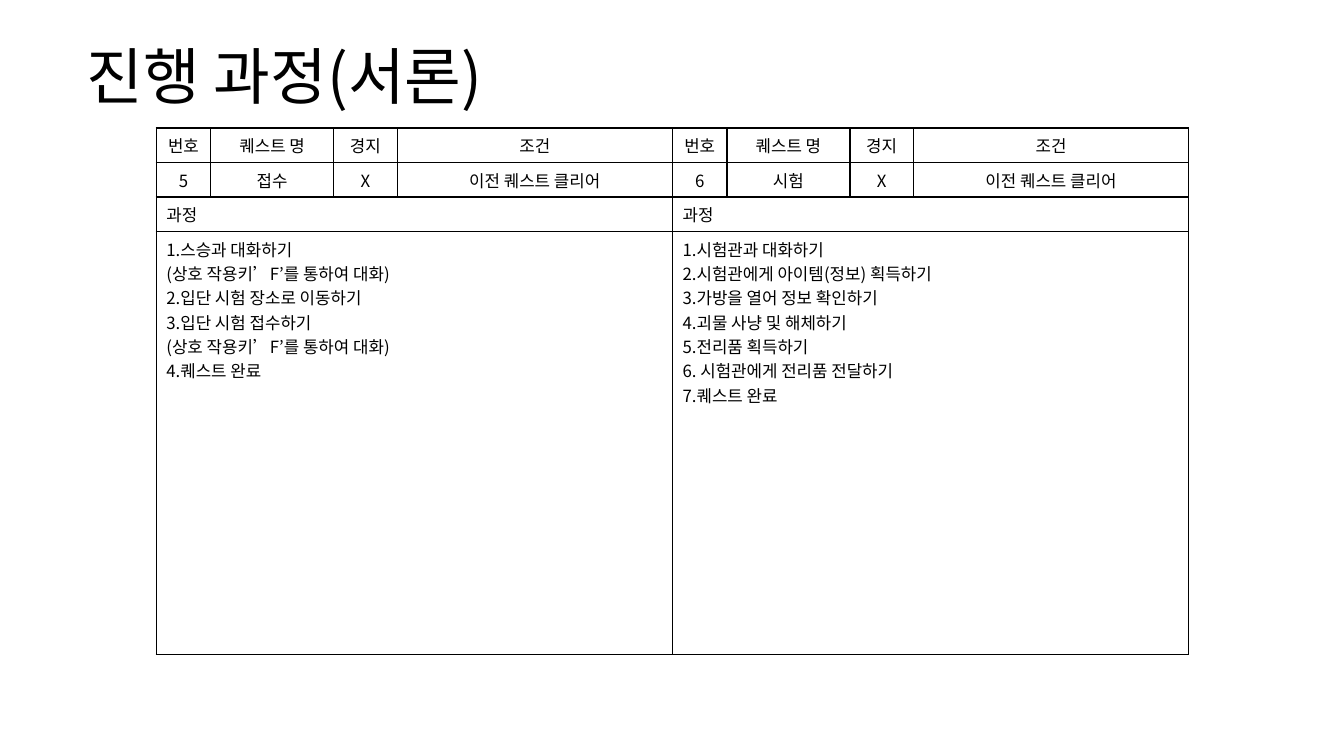
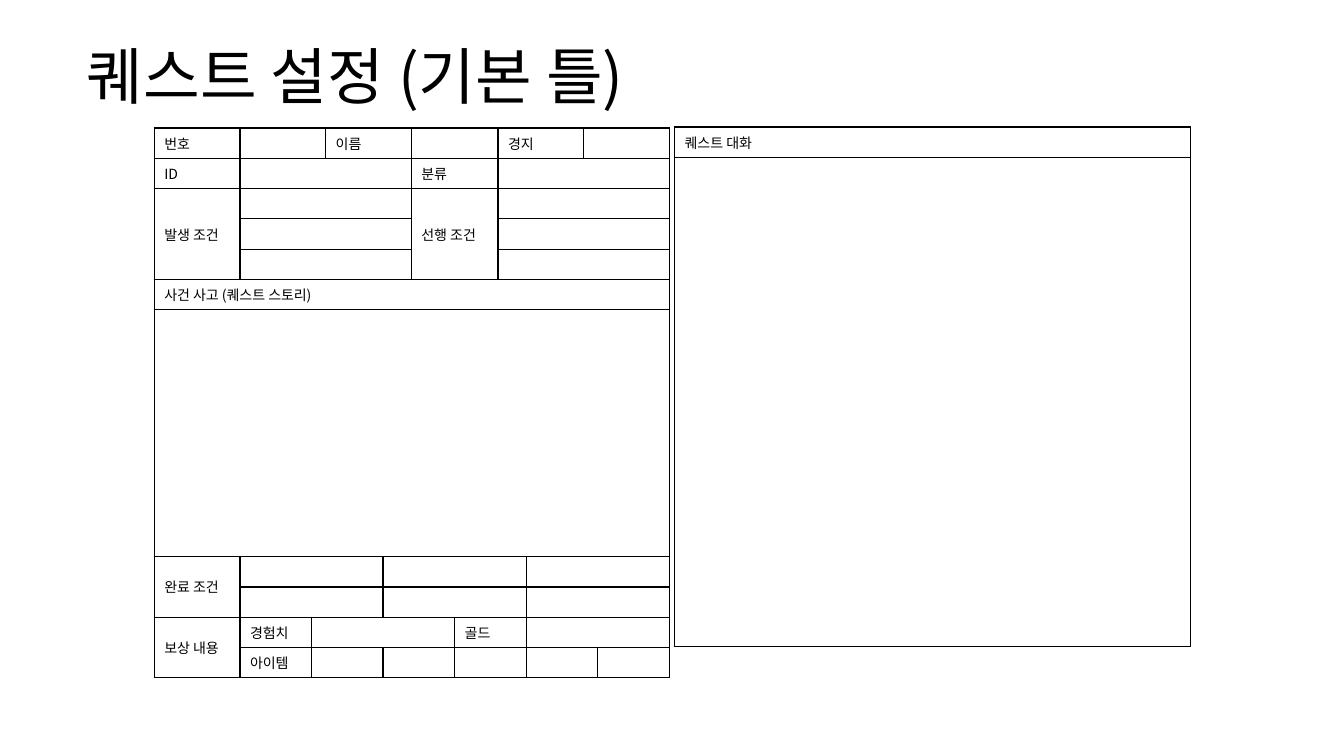
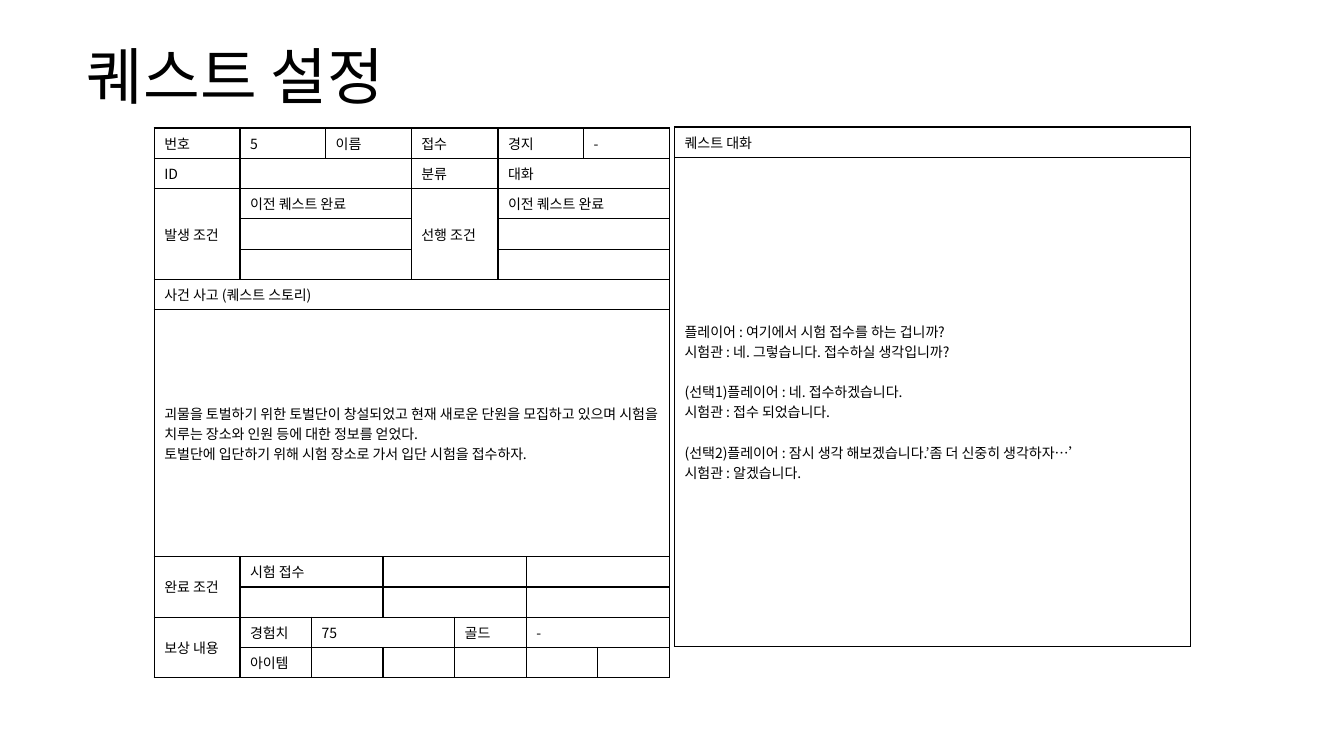
from dataclasses import dataclass

from lxml import etree
from pptx import Presentation
from pptx.dml.color import RGBColor
from pptx.enum import text as tx
from pptx.oxml.ns import qn
from pptx.util import Inches, Pt


@dataclass(frozen=True)
class Theme:
    font: str = "Noto Sans CJK KR"
    ink: str = "000000"
    title: int = 44
    body: int = 12
    form: int = 10
    gap: float = 14.5
    rule: int = 1


THEME = Theme()
TOP, MID = tx.MSO_ANCHOR.TOP, tx.MSO_ANCHOR.MIDDLE
LEFT, CENTER = tx.PP_ALIGN.LEFT, tx.PP_ALIGN.CENTER


@dataclass
class Cell:
    text: str = ""
    cols: int = 1
    rows: int = 1
    align: int = LEFT


@dataclass
class Quest:
    num: str = ""
    name: str = ""
    rank: str = ""
    kind: str = ""
    start: str = ""
    prior: str = ""
    story: str = ""
    goal: str = ""
    exp: str = ""
    gold: str = ""
    talk: str = ""


def add_run(par, words, size):
    run = par.add_run()
    run.text = words
    run.font.size = Pt(size)
    run.font.name = THEME.font
    run.font.color.rgb = RGBColor.from_string(THEME.ink)
    etree.SubElement(run._r.rPr, qn("a:ea"), typeface=THEME.font)


def size_empty(par, size):
    """Keep an empty cell as low as a line of the given size."""
    end = etree.SubElement(par._p, qn("a:endParaRPr"), sz=str(size * 100))
    for tag in ("a:latin", "a:ea"):
        etree.SubElement(end, qn(tag), typeface=THEME.font)


def write(frame, words, size, align=LEFT):
    """One paragraph per line; a blank line becomes space before the next."""
    par, gap = frame.paragraphs[0], False
    if not words:
        size_empty(par, size)
        return
    for num, line in enumerate(words.split("\n")):
        if not line:
            gap = True
            continue
        if num:
            par = frame.add_paragraph()
        par.alignment = align
        if gap:
            par.space_before = Pt(THEME.gap)
            gap = False
        add_run(par, line, size)


def rule_cell(cell):
    props = cell._tc.get_or_add_tcPr()
    for tag in ("a:lnL", "a:lnR", "a:lnT", "a:lnB"):
        line = etree.SubElement(props, qn(tag), w=str(Pt(THEME.rule)))
        fill = etree.SubElement(line, qn("a:solidFill"))
        etree.SubElement(fill, qn("a:srgbClr"), val=THEME.ink)
    cell.fill.background()


def add_grid(slide, left, top, widths, heights, rows, size, anchor):
    """Each cell takes the next free column of its row and may span others."""
    shape = slide.shapes.add_table(
        len(heights), len(widths), Inches(left), Inches(top),
        Inches(sum(widths)), Inches(sum(heights)))
    table = shape.table
    table.first_row = table.horz_banding = False
    for col, width in zip(table.columns, widths):
        col.width = Inches(width)
    for row, height in zip(table.rows, heights):
        row.height = Inches(height)
    for cell in table.iter_cells():
        rule_cell(cell)
    for r, row in enumerate(rows):
        c = 0
        for item in row:
            while table.cell(r, c).is_spanned:
                c += 1
            cell = table.cell(r, c)
            if item.cols > 1 or item.rows > 1:
                cell.merge(table.cell(r + item.rows - 1, c + item.cols - 1))
            cell.vertical_anchor = anchor
            write(cell.text_frame, item.text, size, item.align)
            c += item.cols
    for cell in table.iter_cells():
        if cell.is_spanned:
            size_empty(cell.text_frame.paragraphs[0], size)


def add_page(deck, words):
    slide = deck.slides.add_slide(deck.slide_layouts[5])
    title = slide.shapes.title
    title.left, title.top = Inches(0.76), Inches(0.32)
    title.width, title.height = Inches(11.81), Inches(0.94)
    frame = title.text_frame
    frame.auto_size = tx.MSO_AUTO_SIZE.NONE
    frame.word_wrap = True
    frame.vertical_anchor = MID
    write(frame, words, THEME.title)
    frame.paragraphs[0].line_spacing = 0.9
    return slide


def add_steps(slide, left, top, num, name, steps):
    heads = ("번호", "퀘스트 명", "경지", "조건")
    facts = (num, name, "X", "이전 퀘스트 클리어")
    rows = [[Cell(t, align=CENTER) for t in row] for row in (heads, facts)]
    rows += [[Cell("과정", 4)], [Cell(steps, 4)]]
    add_grid(slide, left, top, (0.54, 1.22, 0.63, 2.73),
             (0.34, 0.34, 0.34, 4.2), rows, THEME.body, TOP)


def add_form(slide, left, top, q):
    widths = (0.85, 0.71, 0.14, 0.57, 0.28, 0.43,
              0.43, 0.28, 0.57, 0.14, 0.71)
    heights = [0.3] * 6 + [2.45] + [0.3] * 4
    pair = [Cell(cols=4), Cell(cols=4)]
    rows = [
        [Cell("번호"), Cell(q.num, 2), Cell("이름", 2), Cell(q.name, 2),
         Cell("경지", 2), Cell(q.rank, 2)],
        [Cell("ID"), Cell(cols=4), Cell("분류", 2), Cell(q.kind, 4)],
        [Cell("발생 조건", rows=3), Cell(q.start, 4),
         Cell("선행 조건", 2, 3), Cell(q.prior, 4)],
        pair,
        pair,
        [Cell("사건 사고 (퀘스트 스토리)", 11)],
        [Cell(q.story, 11)],
        [Cell("완료 조건", rows=2), Cell(q.goal, 3), Cell(cols=4),
         Cell(cols=3)],
        [Cell(cols=3), Cell(cols=4), Cell(cols=3)],
        [Cell("보상 내용", rows=2), Cell("경험치"), Cell(q.exp, 4),
         Cell("골드", 2), Cell(q.gold, 3)],
        [Cell("아이템")] + [Cell(cols=2)] * 4 + [Cell()],
    ]
    add_grid(slide, left, top, widths, heights, rows, THEME.form, MID)


def add_talk(slide, left, top, talk):
    add_grid(slide, left, top, [5.12], (0.3, 4.85),
             [[Cell("퀘스트 대화")], [Cell(talk)]], THEME.form, MID)


def add_quest(deck, title, quest):
    slide = add_page(deck, title)
    add_form(slide, 1.53, 1.27, quest)
    add_talk(slide, 6.69, 1.26, quest.talk)


ENTRY = """1.스승과 대화하기
(상호 작용키’F’를 통하여 대화)
2.입단 시험 장소로 이동하기
3.입단 시험 접수하기
(상호 작용키’F’를 통하여 대화)
4.퀘스트 완료"""

EXAM = """1.시험관과 대화하기
2.시험관에게 아이템(정보) 획득하기
3.가방을 열어 정보 확인하기
4.괴물 사냥 및 해체하기
5.전리품 획득하기
6. 시험관에게 전리품 전달하기
7.퀘스트 완료"""

STORY = (
    "괴물을 토벌하기 위한 토벌단이 창설되었고 현재 새로운 단원을 모집하고 있으며 "
    "시험을 치루는 장소와 인원 등에 대한 정보를 얻었다.\n"
    "토벌단에 입단하기 위해 시험 장소로 가서 입단 시험을 접수하자.")

TALK = """플레이어 : 여기에서 시험 접수를 하는 겁니까?
시험관 : 네. 그렇습니다. 접수하실 생각입니까?

(선택1)플레이어 : 네. 접수하겠습니다.
시험관 : 접수 되었습니다.

(선택2)플레이어 : 잠시 생각 해보겠습니다.’좀 더 신중히 생각하자…’
시험관 : 알겠습니다."""


def main():
    deck = Presentation()
    deck.slide_width, deck.slide_height = Inches(13.33), Inches(7.5)

    slide = add_page(deck, "진행 과정(서론)")
    add_steps(slide, 1.55, 1.27, "5", "접수", ENTRY)
    add_steps(slide, 6.67, 1.27, "6", "시험", EXAM)

    add_quest(deck, "퀘스트 설정 (기본 틀)", Quest())
    add_quest(deck, "퀘스트 설정", Quest(
        num="5", name="접수", rank="-", kind="대화",
        start="이전 퀘스트 완료", prior="이전 퀘스트 완료",
        story=STORY, goal="시험 접수", exp="75", gold="-", talk=TALK))

    deck.save("out.pptx")


if __name__ == "__main__":
    main()
